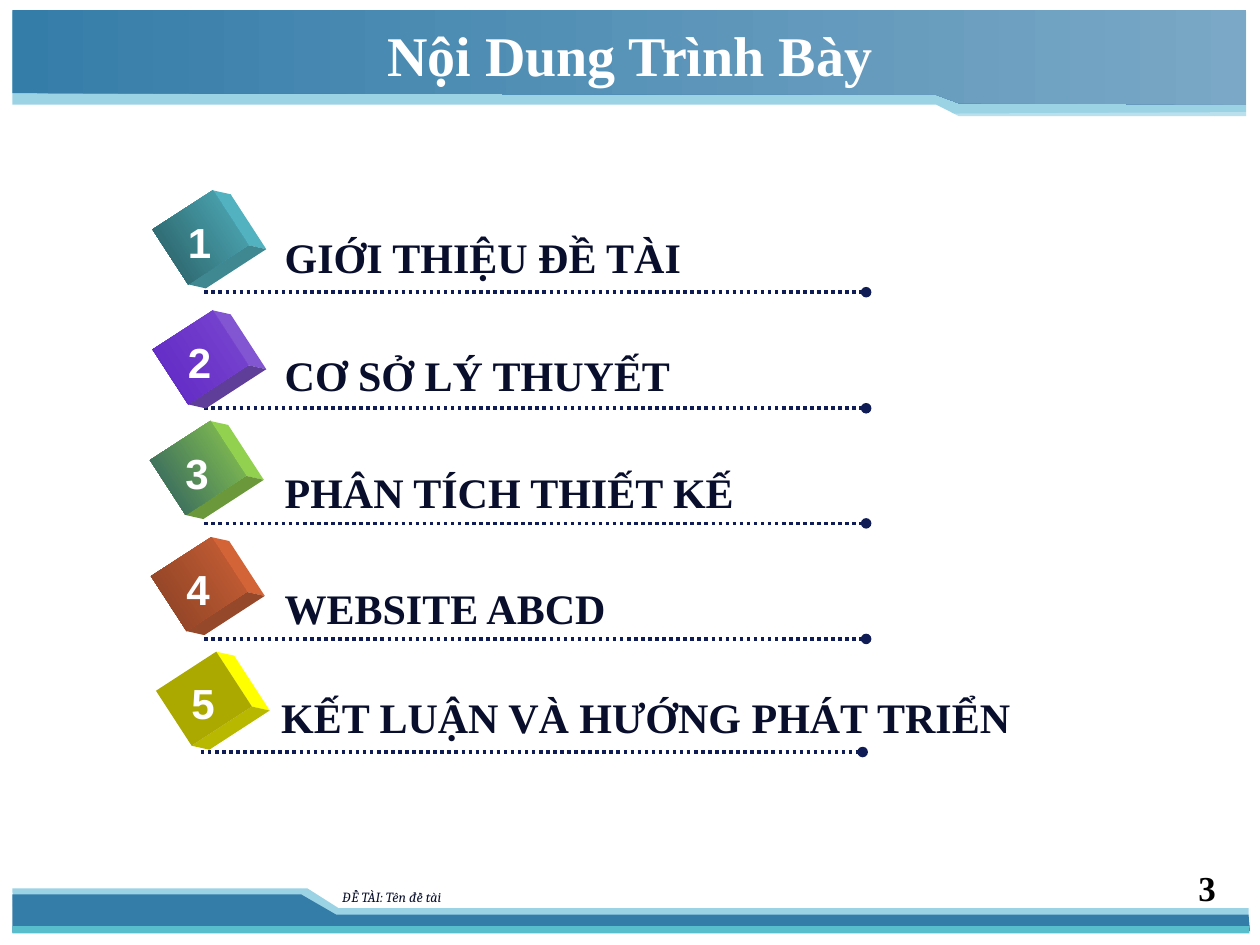
from dataclasses import dataclass
from math import cos, radians, sin
from typing import Sequence

from lxml.etree import SubElement
from pptx import Presentation
from pptx.dml.color import RGBColor
from pptx.enum.dml import MSO_LINE
from pptx.enum.shapes import MSO_CONNECTOR, MSO_SHAPE
from pptx.enum.text import MSO_ANCHOR, PP_ALIGN
from pptx.oxml.ns import qn
from pptx.util import Cm, Pt


@dataclass(frozen=True)
class Theme:
    pale: str = "9BD3E5"
    blue: str = "357DA9"
    blue_end: str = "7AA8C6"
    teal: str = "58BECC"
    white: str = "FFFFFF"
    black: str = "000000"
    ink: str = "080E2B"
    rule: str = "101C56"
    serif: str = "Times New Roman"
    sans: str = "Arial"
    footer_font: str = "Cambria"
    title_size: int = 32
    item_size: int = 24
    number_size: int = 20
    footer_size: int = 8


@dataclass(frozen=True)
class Item:
    text: str
    width: float
    label_y: float
    rule_y: float
    cube_x: float
    cube_y: float
    front: tuple[str, ...]  # right edge to left edge
    side: str
    base: str
    shift: float = 0


T = Theme()
Point = tuple[float, float]

# Cube geometry in cm
CUBE_W, CUBE_H, CUBE_TURN = 1.32, 1.45, 57
DEPTH = (0.36, 0.08)

ITEMS = [
    Item("GIỚI THIỆU ĐỀ TÀI", 8.59, 4.55, 5.89, 3.38, 4.06,
         ("50B0BD", "285A60"), "53B2BF", "3F8892"),
    Item("CƠ SỞ LÝ THUYẾT", 8.36, 6.93, 8.23, 3.38, 6.48,
         ("7A48CF", "5F26C5"), "8255D2", "5F3E9A"),
    Item("PHÂN TÍCH THIẾT KẾ", 9.65, 9.27, 10.55, 3.33, 8.71,
         ("8DC94D", "2B5C62"), "92D050", "6A983A"),
    Item("WEBSITE ABCD", 7.06, 11.61, 12.88, 3.35, 11.05,
         ("CC6036", "864024"), "D36438", "96482A"),
    Item("KẾT LUẬN VÀ HƯỚNG PHÁT TRIỂN", 15.37, 13.82, 15.16, 3.45, 13.36,
         ("ABA800",), "FFFF00", "B9B800", shift=-0.07),
]


def paint(sp, colors: Sequence[str], angle: float = 0) -> None:
    """Fill with one colour, or with a gradient between two."""
    sp.shadow.inherit = False
    sp.line.fill.background()
    if len(colors) == 1:
        sp.fill.solid()
        sp.fill.fore_color.rgb = RGBColor.from_string(colors[0])
        return
    sp.fill.gradient()
    sp.fill.gradient_angle = angle
    for stop, color in zip(sp.fill.gradient_stops, colors):
        stop.color.rgb = RGBColor.from_string(color)


def add_polygon(s, points: Sequence[Point], *colors: str):
    pts = [(Cm(x), Cm(y)) for x, y in points]
    builder = s.shapes.build_freeform(*pts[0])
    builder.add_line_segments(pts[1:], close=True)
    sp = builder.convert_to_shape()
    paint(sp, colors)
    return sp


def add_text(s, text: str, x: float, y: float, w: float, h: float, size: int,
             color: str, font: str = T.serif, bold: bool = True,
             italic: bool = False, align=PP_ALIGN.LEFT, wrap: bool = True):
    sp = s.shapes.add_textbox(Cm(x), Cm(y), Cm(w), Cm(h))
    tf = sp.text_frame
    tf.word_wrap = wrap
    p = tf.paragraphs[0]
    p.text = text
    p.alignment = align
    f = p.runs[0].font
    f.name, f.size, f.bold, f.italic = font, Pt(size), bold, italic
    f.color.rgb = RGBColor.from_string(color)
    return tf


def add_rule(s, x: float, y: float, length: float) -> None:
    """Dotted line that ends in a round dot."""
    sp = s.shapes.add_connector(MSO_CONNECTOR.STRAIGHT, Cm(x), Cm(y), Cm(x + length), Cm(y))
    sp.line.color.rgb = RGBColor.from_string(T.rule)
    sp.line.width = Pt(2)
    sp.line.dash_style = MSO_LINE.ROUND_DOT
    SubElement(sp.line._get_or_add_ln(), qn("a:tailEnd"), type="oval")
    SubElement(sp._element.spPr, qn("a:effectLst"))


def add_cube(s, number: int, item: Item) -> None:
    x, y = item.cube_x, item.cube_y
    c, d = cos(radians(CUBE_TURN)), sin(radians(CUBE_TURN))

    def corner(sx: int, sy: int, back: int = 0) -> Point:
        u, v = sx * CUBE_W / 2, sy * CUBE_H / 2
        return (x + CUBE_W / 2 + u * c - v * d + back * DEPTH[0],
                y + CUBE_H / 2 + u * d + v * c + back * DEPTH[1])

    top, right, bottom = (-1, -1), (1, -1), (1, 1)
    for (a, b), color in (((top, right), item.side), ((right, bottom), item.base)):
        add_polygon(s, [corner(*a), corner(*a, 1), corner(*b, 1), corner(*b)], color)
    sp = s.shapes.add_shape(MSO_SHAPE.RECTANGLE, Cm(x), Cm(y), Cm(CUBE_W), Cm(CUBE_H))
    sp.rotation = CUBE_TURN
    paint(sp, item.front, angle=270)
    add_text(s, str(number), x + 0.15, y + 0.18, 0.99, 1.27, T.item_size, T.white,
             font=T.sans, align=PP_ALIGN.CENTER, wrap=False)


def add_item(s, number: int, item: Item) -> None:
    add_rule(s, 4.12 + item.shift, item.rule_y, 13.34)
    add_text(s, item.text, 5.49 + item.shift, item.label_y, item.width, 1.27,
             T.item_size, T.ink, wrap=False)
    add_cube(s, number, item)


def add_frame(s) -> None:
    # Header band
    add_polygon(s, [(25.12, 0.23), (0.25, 0.23), (0.25, 2.11), (18.87, 2.11),
                    (19.33, 2.34), (25.12, 2.34)], T.pale)
    add_polygon(s, [(25.12, 0.2), (0.25, 0.2), (0.25, 1.88), (18.87, 1.91),
                    (19.33, 2.08), (25.12, 2.11)], T.blue, T.blue_end)
    sheen = add_polygon(s, [(19.15, 2.29), (25.15, 2.26), (25.15, 2.39),
                            (19.43, 2.39)], T.white)
    SubElement(sheen._element.spPr.find(".//" + qn("a:srgbClr")), qn("a:alpha"), val="30000")

    # Footer band
    add_polygon(s, [(0.28, 18.77), (25.17, 18.77), (25.17, 18.31), (6.83, 18.31),
                    (6.2, 17.91), (0.25, 17.91)], T.pale)
    add_polygon(s, [(0.25, 18.8), (25.2, 18.77), (25.17, 18.44), (6.78, 18.44),
                    (6.07, 18.03), (0.25, 18.03)], T.blue)
    sp = s.shapes.add_shape(MSO_SHAPE.RECTANGLE, Cm(0.25), Cm(18.67), Cm(24.94), Cm(0.15))
    paint(sp, [T.teal])
    add_text(s, "ĐỀ TÀI: Tên đề tài", 6.65, 17.78, 15.57, 0.61, T.footer_size, T.ink,
             font=T.footer_font, bold=False, italic=True)
    add_text(s, "3", 23.29, 17.35, 1.47, 1.02, T.number_size, T.black, align=PP_ALIGN.RIGHT)


def main() -> None:
    prs = Presentation()
    prs.slide_width, prs.slide_height = Cm(25.4), Cm(19.05)
    s = prs.slides.add_slide(prs.slide_layouts[6])
    add_frame(s)

    # Title
    tf = add_text(s, "Nội Dung Trình Bày", 1.27, 0.18, 22.86, 2.16, T.title_size, T.white,
                  align=PP_ALIGN.CENTER)
    tf.vertical_anchor = MSO_ANCHOR.MIDDLE
    tf.margin_bottom = Cm(0.46)

    # Agenda
    for number, item in enumerate(ITEMS, 1):
        add_item(s, number, item)
    prs.save("out.pptx")


if __name__ == "__main__":
    main()
